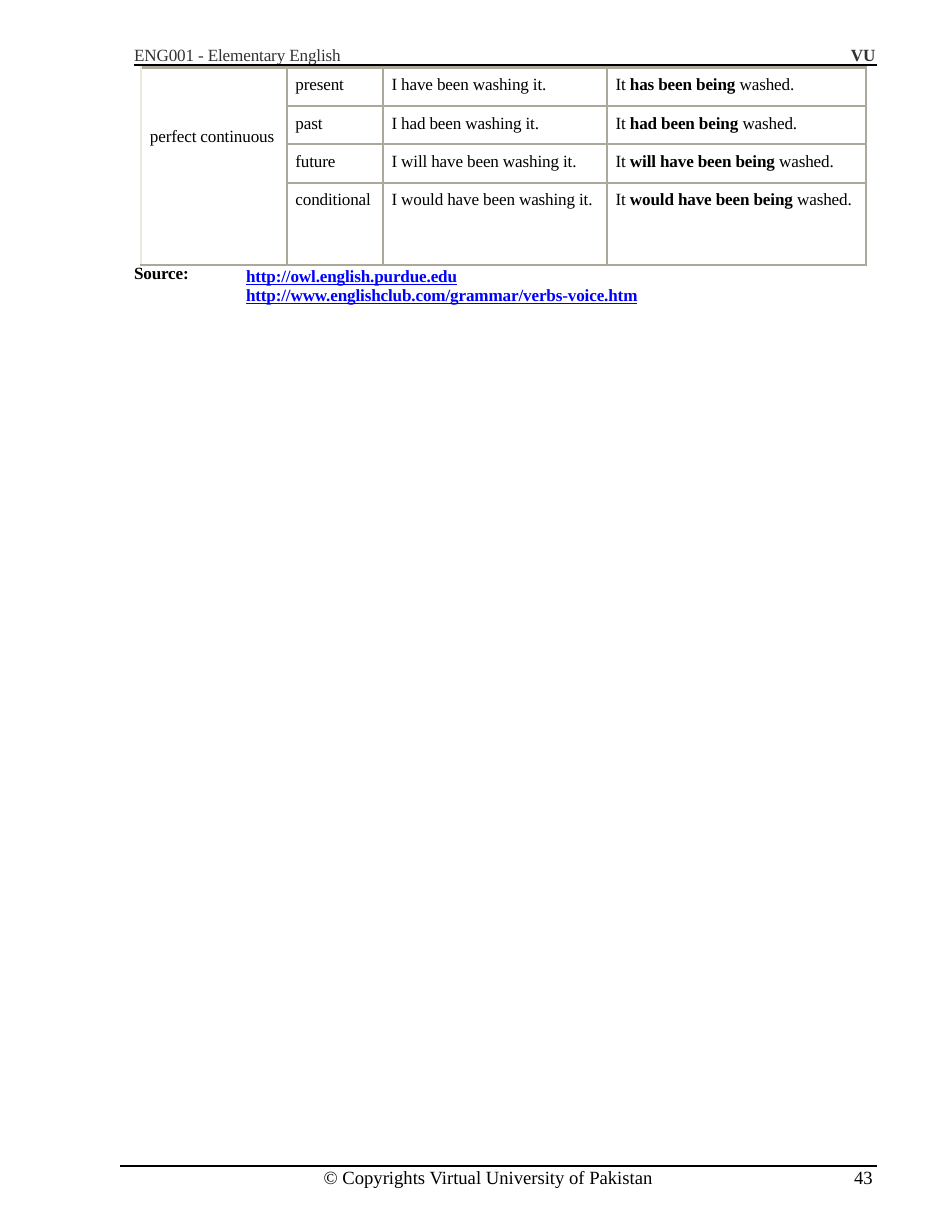
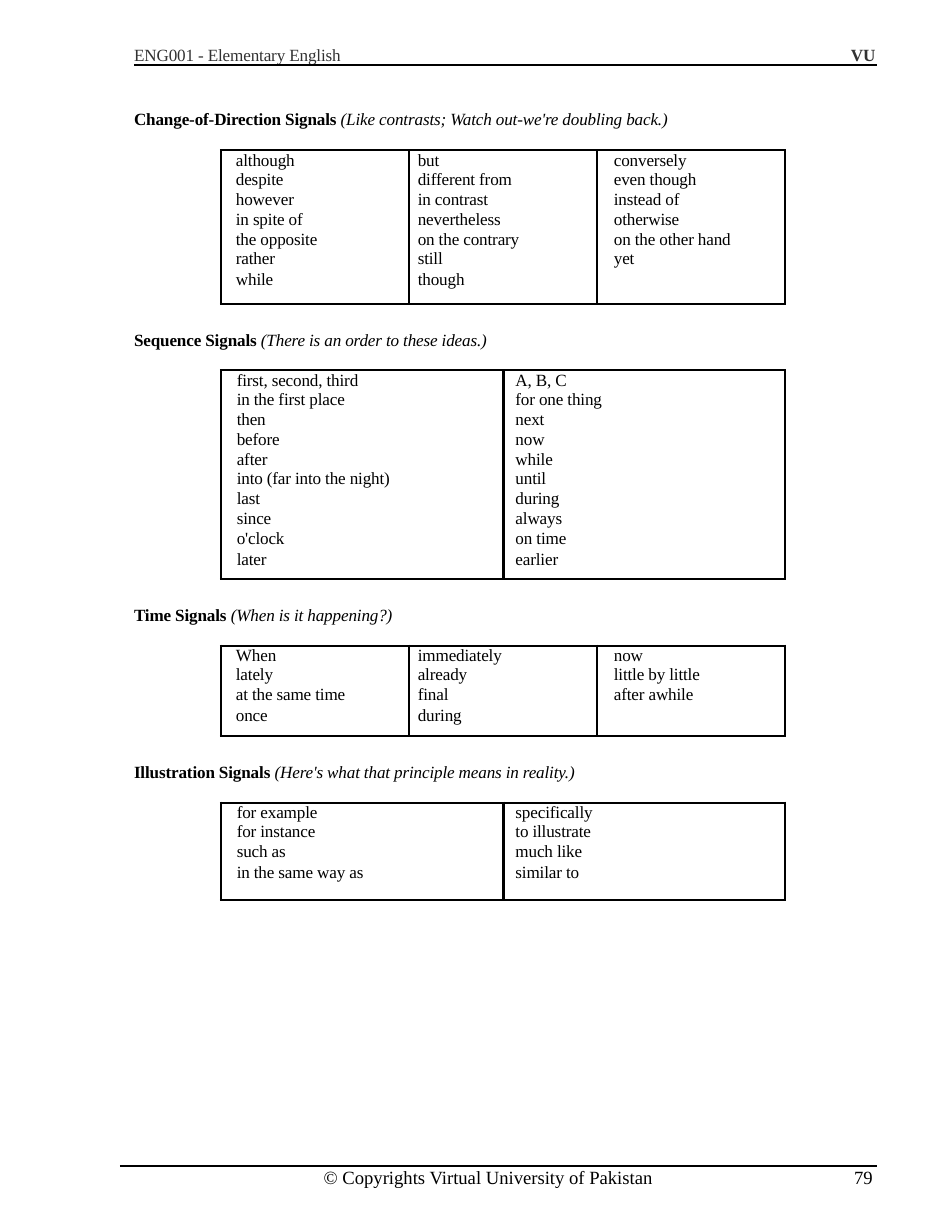
from itertools import zip_longest

from lxml import etree
from pptx import Presentation
from pptx.dml.color import RGBColor
from pptx.enum.shapes import MSO_CONNECTOR
from pptx.enum.text import MSO_ANCHOR, MSO_AUTO_SIZE, PP_ALIGN
from pptx.oxml.ns import qn
from pptx.util import Cm, Pt

STRAIGHT = MSO_CONNECTOR.STRAIGHT
TOP = MSO_ANCHOR.TOP
NO_AUTOFIT = MSO_AUTO_SIZE.NONE
LEFT = PP_ALIGN.LEFT

BLACK, HEADER_GREY, LINK_BLUE = "000000", "323232", "0000FF"
GRID, GRID_LIGHT = "ACA89A", "ECE9D8"

TENSES = [
    ("present", "I have been washing it.", "has been being "),
    ("past", "I had been washing it.", "had been being "),
    ("future", "I will have been washing it.", "will have been being "),
    ("conditional", "I would have been washing it.", "would have been being "),
]

# Heading, remark, heading width, height of the last row, words by column
SIGNALS = [
    ("Change-of-Direction Signals ", "(Like contrasts; Watch out-we're doubling back.)", 12.5, 0.77, [
        ["although", "despite", "however", "in spite of", "the opposite", "rather", "while"],
        ["but", "different from", "in contrast", "nevertheless", "on the contrary", "still", "though"],
        ["conversely", "even though", "instead of", "otherwise", "on the other hand", "yet"],
    ]),
    ("Sequence Signals ", "(There is an order to these ideas.)", 8.3, 0.67, [
        ["first, second, third", "in the first place", "then", "before", "after",
         "into (far into the night)", "last", "since", "o'clock", "later"],
        ["A, B, C", "for one thing", "next", "now", "while", "until", "during",
         "always", "on time", "earlier"],
    ]),
    ("Time Signals ", "(When is it happening?)", 6.1, 0.69, [
        ["When", "lately", "at the same time", "once"],
        ["immediately", "already", "final", "during"],
        ["now", "little by little", "after awhile"],
    ]),
    ("Illustration Signals ", "(Here's what that principle means in reality.)", 10.4, 0.85, [
        ["for example", "for instance", "such as", "in the same way as"],
        ["specifically", "to illustrate", "much like", "similar to"],
    ]),
]
# Left margins of the words, by number of columns
WORD_INDENTS = {2: (0.36, 0.28), 3: (0.34, 0.2, 0.38)}


def color(hex_string):
    return RGBColor.from_string(hex_string)


class Handout:
    """Holds the page style and the slide being filled; lengths are in cm."""

    font_name = "Times New Roman"
    text_left = 3.02

    def __init__(self):
        self.presentation = Presentation()
        self.presentation.slide_width = Cm(21.59)
        self.presentation.slide_height = Cm(27.94)
        self.slide = None

    def add_page(self, number):
        """Start a slide with its header, rules and footer."""
        self.slide = self.presentation.slides.add_slide(self.presentation.slide_layouts[5])
        title = self.slide.shapes.title
        title.left, title.top, title.width, title.height = Cm(self.text_left), Cm(0.94), Cm(4.9), Cm(0.53)
        self.fill_frame(title.text_frame, ["ENG001 - Elementary English"], text_color=HEADER_GREY)
        self.text(19.28, 0.94, 0.64, 0.53, ["VU"], text_color=HEADER_GREY, bold=True)
        self.text(7.32, 26.37, 7.6, 0.58, ["© Copyrights Virtual University of Pakistan"], size=12, tracking=0)
        self.text(19.35, 26.37, 0.5, 0.58, [str(number)], size=12, tracking=0)
        self.rule(3.05, 1.47)
        self.rule(2.72, 26.44)

    def rule(self, left, top, right=19.89):
        line = self.slide.shapes.add_connector(STRAIGHT, Cm(left), Cm(top), Cm(right), Cm(top))
        line.line.color.rgb = color(BLACK)
        line.line.width = Pt(1.5)
        etree.SubElement(line._element.spPr, qn("a:effectLst"))

    def text(self, left, top, width, height, paragraphs, **style):
        box = self.slide.shapes.add_textbox(Cm(left), Cm(top), Cm(width), Cm(height))
        self.fill_frame(box.text_frame, paragraphs, **style)

    def fill_frame(self, frame, paragraphs, inset_top=0.06, **style):
        frame.word_wrap = True
        frame.auto_size = NO_AUTOFIT
        frame.vertical_anchor = TOP
        frame.margin_left = Cm(0.02)
        frame.margin_right = frame.margin_bottom = 0
        frame.margin_top = Cm(inset_top)
        for index, content in enumerate(paragraphs):
            paragraph = frame.add_paragraph() if index else frame.paragraphs[0]
            self.fill_paragraph(paragraph, content, **style)

    def fill_paragraph(self, paragraph, content, size=11, text_color=BLACK, bold=None,
                       underline=None, line_spacing=None, tracking=-10):
        """Fill a paragraph with a string or with (text, font attribute) pairs."""
        paragraph.alignment = LEFT
        if line_spacing:
            paragraph.line_spacing = Pt(line_spacing)
        font = paragraph.font
        font.name, font.size, font.bold, font.underline = self.font_name, Pt(size), bold, underline
        font.color.rgb = color(text_color)
        if tracking:
            paragraph._p.get_or_add_pPr().get_or_add_defRPr().set("spc", str(tracking))
        pairs = [(content, None)] if isinstance(content, str) else content
        for words, emphasis in pairs:
            if words:
                run = paragraph.add_run()
                run.text = words
                if emphasis == "bold":
                    run.font.bold = True
                elif emphasis == "italic":
                    run.font.italic = True

    def table(self, left, top, widths, heights):
        frame = self.slide.shapes.add_table(
            len(heights), len(widths), Cm(left), Cm(top), Cm(sum(widths)), Cm(sum(heights)))
        table = frame.table
        table.first_row = table.horz_banding = False
        for column, width in zip(table.columns, widths):
            column.width = Cm(width)
        for row, height in zip(table.rows, heights):
            row.height = Cm(height)
        return table

    def cell(self, cell, content, borders, margin_left, margin_top=0, **style):
        """Fill a cell; borders maps L, R, T, B to (colour, points)."""
        cell.margin_left, cell.margin_top = Cm(margin_left), Cm(margin_top)
        cell.margin_right = cell.margin_bottom = 0
        cell.vertical_anchor = TOP
        properties = cell._tc.get_or_add_tcPr()
        for side in "LRTB":
            line = etree.SubElement(properties, qn(f"a:ln{side}"))
            if side in borders:
                line_color, points = borders[side]
                line.set("w", str(Pt(points)))
                fill = etree.SubElement(line, qn("a:solidFill"))
                etree.SubElement(fill, qn("a:srgbClr")).set("val", line_color)
            else:
                line.set("w", "0")
                etree.SubElement(line, qn("a:noFill"))
        cell.fill.background()
        self.fill_paragraph(cell.text_frame.paragraphs[0], content, **style)

    def tense_table(self):
        table = self.table(3.2, 1.53, [3.3, 2.18, 5.08, 5.87], [0.87, 0.87, 0.87, 1.86])
        table.cell(0, 0).merge(table.cell(3, 0))
        for row, (tense, active, passive) in enumerate(TENSES):
            borders = {side: (GRID, 1.5) for side in "LRTB"}
            if row == 0:
                borders["T"] = (GRID, 2.25)
            label = "" if row else "perfect continuous"
            self.cell(table.cell(row, 0), label, {**borders, "L": (GRID_LIGHT, 1.5)},
                      0.2, 0 if row else 1.35)
            sentence = [("It ", None), (passive, "bold"), ("washed.", None)]
            for column, content in enumerate([tense, active, sentence], start=1):
                self.cell(table.cell(row, column), content, borders, 0.2, 0.18)

    def signal_table(self, top, columns, last_height):
        """Draw a word list and return its height."""
        rows = list(zip_longest(*columns, fillvalue=""))
        count, last = len(columns), len(rows) - 1
        heights = [0.47] + [0.45] * (last - 1) + [last_height]
        table = self.table(5.01, top, [12.8 / count] * count, heights)
        inner = 2.25 if count == 2 else 1.5
        for row, words in enumerate(rows):
            spacing = {0: 12.5, last: 12.2}.get(row, 11.7)
            for column, word in enumerate(words):
                borders = {"L": (BLACK, inner if column else 1.5),
                           "R": (BLACK, inner if column < count - 1 else 1.5)}
                if row == 0:
                    borders["T"] = (BLACK, 1.5)
                if row == last:
                    borders["B"] = (BLACK, 1.5)
                self.cell(table.cell(row, column), word, borders,
                          WORD_INDENTS[count][column], line_spacing=spacing)
        return sum(heights)


def main():
    handout = Handout()

    handout.add_page(43)
    handout.tense_table()
    handout.text(handout.text_left, 5.89, 1.4, 0.53, ["Source:"], bold=True)
    handout.text(5.56, 5.89, 9.15, 1,
                 ["http://owl.english.purdue.edu", "http://www.englishclub.com/grammar/verbs-voice.htm"],
                 inset_top=0.14, text_color=LINK_BLUE, bold=True, underline=True, line_spacing=12.7)

    handout.add_page(79)
    top = 2.41
    for heading, remark, width, last_height, columns in SIGNALS:
        handout.text(handout.text_left, top, width, 0.53, [[(heading, "bold"), (remark, "italic")]])
        top += 1 + handout.signal_table(top + 1, columns, last_height) + 0.5

    handout.presentation.save("out.pptx")


if __name__ == "__main__":
    main()
